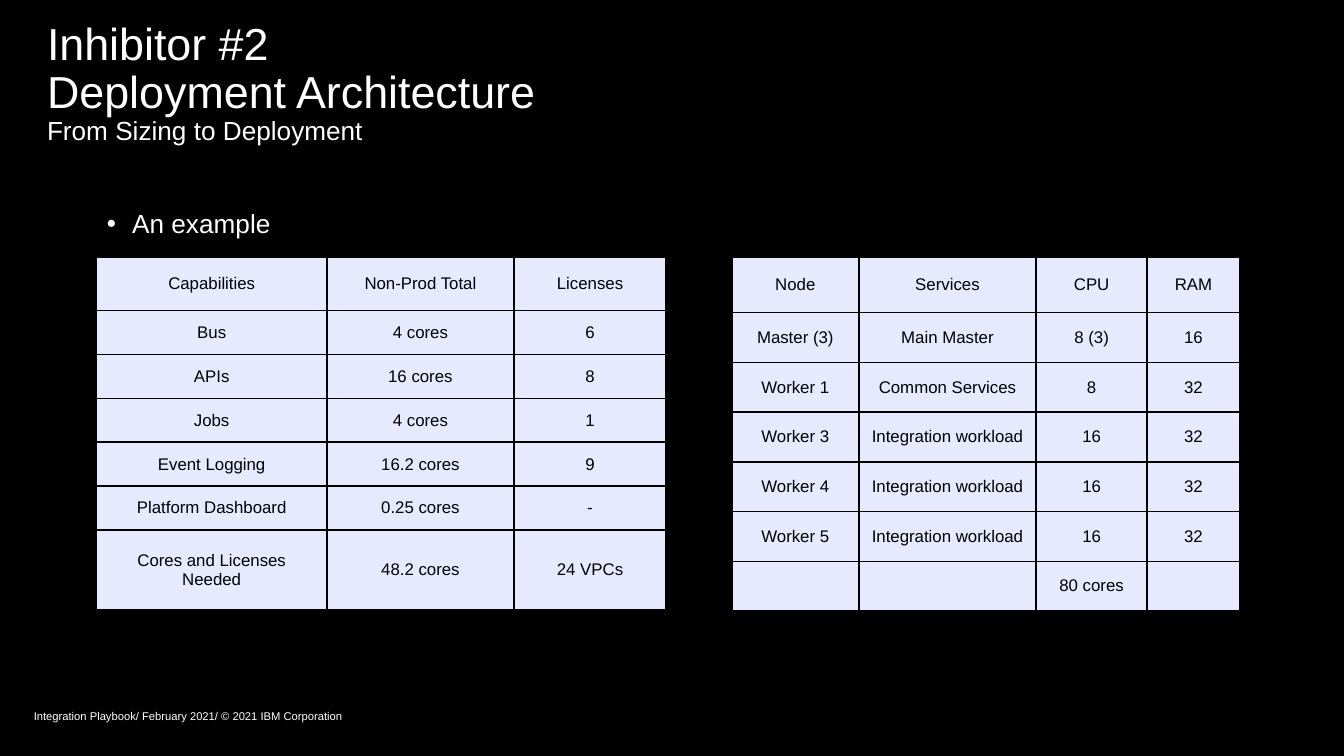
from lxml.etree import SubElement as Sub
from pptx import Presentation
from pptx.dml.color import RGBColor as RGB
from pptx.enum.text import MSO_ANCHOR as Anchor, PP_ALIGN as Align
from pptx.oxml.ns import qn
from pptx.util import Cm, Pt

BLACK = RGB(0x00, 0x00, 0x00)
WHITE = RGB(0xFF, 0xFF, 0xFF)
LILAC = RGB(0xE7, 0xEA, 0xFF)

NEEDS = [
    ("Capabilities", "Non-Prod Total", "Licenses"),
    ("Bus", "4 cores", "6"),
    ("APIs", "16 cores", "8"),
    ("Jobs", "4 cores", "1"),
    ("Event Logging", "16.2 cores", "9"),
    ("Platform Dashboard", "0.25 cores", "-"),
    ("Cores and Licenses Needed", "48.2 cores", "24 VPCs"),
]
NODES = [
    ("Node", "Services", "CPU", "RAM"),
    ("Master (3)", "Main Master", "8 (3)", "16"),
    ("Worker 1", "Common Services", "8", "32"),
    *[(f"Worker {n}", "Integration workload", "16", "32") for n in (3, 4, 5)],
    ("", "", "80 cores", ""),
]


class Deck:
    """Holds the style and the current slide."""
    face = "Arial"

    def __init__(self, wide, high):
        self.prs = Presentation()
        self.prs.slide_width, self.prs.slide_height = Cm(wide), Cm(high)
        self.slide = self.prs.slides.add_slide(self.prs.slide_layouts[6])
        fill = self.slide.background.fill
        fill.solid()
        fill.fore_color.rgb = BLACK

    def style(self, para, size, color):
        for run in para.runs:
            font = run.font
            font.name, font.size = self.face, Pt(size)
            font.color.rgb = color

    def text(self, box, lines, pad=(0, 0, 0, 0), anchor=Anchor.TOP, space=1.0):
        """Adds a text box; lines holds pairs of wording and size."""
        frame = self.slide.shapes.add_textbox(*map(Cm, box)).text_frame
        frame.word_wrap = True
        frame.vertical_anchor = anchor
        (frame.margin_left, frame.margin_top,
         frame.margin_right, frame.margin_bottom) = map(Cm, pad)
        frame.text = "\n".join(words for words, _ in lines)
        for para, (_, size) in zip(frame.paragraphs, lines):
            para.line_spacing = space
            self.style(para, size, WHITE)
        return frame

    def bullet(self, para, indent):
        props = para._p.get_or_add_pPr()
        props.set("marL", str(Cm(indent)))
        props.set("indent", str(-Cm(indent)))
        color = Sub(props, qn("a:buClr"))
        Sub(color, qn("a:srgbClr"), val=str(WHITE))
        Sub(props, qn("a:buFont"), typeface=self.face)
        Sub(props, qn("a:buChar"), char="•")

    def border(self, cell):
        props = cell._tc.get_or_add_tcPr()
        for side in ("lnL", "lnR", "lnT", "lnB"):
            line = Sub(props, qn(f"a:{side}"), w=str(Pt(1)))
            fill = Sub(line, qn("a:solidFill"))
            Sub(fill, qn("a:srgbClr"), val=str(BLACK))

    def table(self, left, top, cols, rows, data, pad):
        """Adds a bordered table; pad is the side and the top/bottom margin."""
        grid = self.slide.shapes.add_table(
            len(rows), len(cols), Cm(left), Cm(top),
            Cm(sum(cols)), Cm(sum(rows))).table
        grid.first_row = grid.horz_banding = False
        for col, wide in zip(grid.columns, cols):
            col.width = Cm(wide)
        for row, high, words in zip(grid.rows, rows, data):
            row.height = Cm(high)
            for cell, word in zip(row.cells, words):
                self.cell(cell, word, pad)

    def cell(self, cell, word, pad):
        self.border(cell)
        cell.fill.solid()
        cell.fill.fore_color.rgb = LILAC
        cell.vertical_anchor = Anchor.MIDDLE
        cell.margin_left = cell.margin_right = Cm(pad[0])
        cell.margin_top = cell.margin_bottom = Cm(pad[1])
        cell.text_frame.text = word
        para = cell.text_frame.paragraphs[0]
        para.alignment = Align.CENTER
        self.style(para, 9, BLACK)


def main():
    deck = Deck(25.4, 14.29)
    intro = deck.text((1.7, 3.68, 4.9, 0.94), [("An example", 14)],
                      pad=(0.32, 0.25, 0.25, 0.25))
    deck.bullet(intro.paragraphs[0], 0.48)
    top = 4.86
    deck.table(13.83, top, [2.4, 3.35, 2.1, 1.75], [1.05] + [0.94] * 6,
               NODES, (0.02, 0.01))
    deck.table(1.82, top, [4.36, 3.53, 2.88], [1.01] + [0.83] * 5 + [1.51],
               NEEDS, (0.18, 0.1))
    deck.text((0.64, 13.31, 11.43, 0.46),
              [("Integration Playbook/ February 2021/ © 2021 IBM Corporation", 6)],
              anchor=Anchor.MIDDLE)
    deck.text((0.89, 0.41, 21.31, 2.72),
              [("Inhibitor #2", 24), ("Deployment Architecture", 24),
               ("From Sizing to Deployment", 14)], space=0.9)
    deck.prs.save("out.pptx")


if __name__ == "__main__":
    main()
